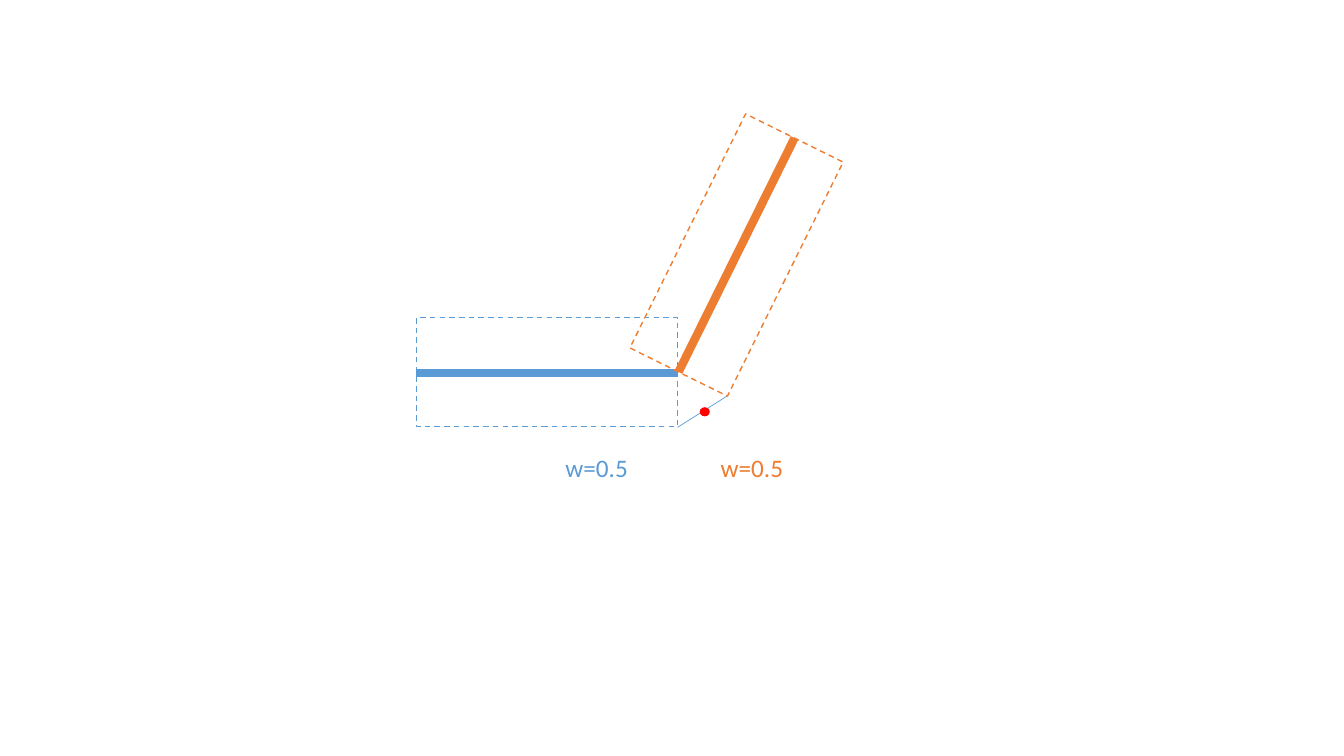
"""Draw two jointed bones with their dashed outlines, weights and blended corner point."""
from dataclasses import dataclass
from lxml import etree
from pptx import Presentation
from pptx import util as u
from pptx.dml.color import RGBColor
from pptx.enum import dml, shapes, text
from pptx.oxml.ns import qn


@dataclass
class Theme:
    blue: RGBColor = RGBColor(0x5B, 0x9B, 0xD5)
    orange: RGBColor = RGBColor(0xED, 0x7D, 0x31)
    red: RGBColor = RGBColor(0xFF, 0x00, 0x00)
    font: str = "Calibri"
    size: u.Pt = u.Pt(18)
    thin: u.Pt = u.Pt(0.5)
    dash: u.Pt = u.Pt(1)
    thick: u.Pt = u.Pt(6)


theme = Theme()
COLS, ROWS = 1333, 750
prs = Presentation()
prs.slide_width, prs.slide_height = u.Inches(13.33), u.Inches(7.5)
cell = prs.slide_width // COLS
slide = prs.slides.add_slide(prs.slide_layouts[6])


def grid(*spots):
    return [spot * cell for spot in spots]


def draw_line(ends, color, width):
    line = slide.shapes.add_connector(shapes.MSO_CONNECTOR.STRAIGHT, *grid(*ends))
    line.line.color.rgb = color
    line.line.width = width
    etree.SubElement(line._element.spPr, qn("a:effectLst"))


draw_line((672, 424, 721, 393), theme.blue, theme.thin)

bones = [
    (theme.blue, (413, 315), 0, (413, 370, 672, 370), 551),
    (theme.orange, (601, 199), 296.3, (673, 369, 788, 137), 705),
]
for color, corner, turn, ends, left in bones:
    box = slide.shapes.add_shape(shapes.MSO_SHAPE.RECTANGLE, *grid(*corner, 259, 108))
    box.rotation = turn
    box.shadow.inherit = False
    box.fill.background()
    box.line.color.rgb = color
    box.line.width = theme.dash
    box.line.dash_style = dml.MSO_LINE.DASH
    draw_line(ends, color, theme.thick)

    label = slide.shapes.add_textbox(*grid(left, 444, 83, 40))
    frame = label.text_frame
    frame.word_wrap = False
    frame.auto_size = text.MSO_AUTO_SIZE.SHAPE_TO_FIT_TEXT
    run = frame.paragraphs[0].add_run()
    run.text = "w=0.5"
    run.font.name = theme.font
    run.font.size = theme.size
    run.font.color.rgb = color

dot = slide.shapes.add_shape(shapes.MSO_SHAPE.OVAL, *grid(694, 404, 10, 9))
dot.shadow.inherit = False
dot.fill.solid()
dot.fill.fore_color.rgb = theme.red
dot.line.fill.background()

prs.save("out.pptx")
